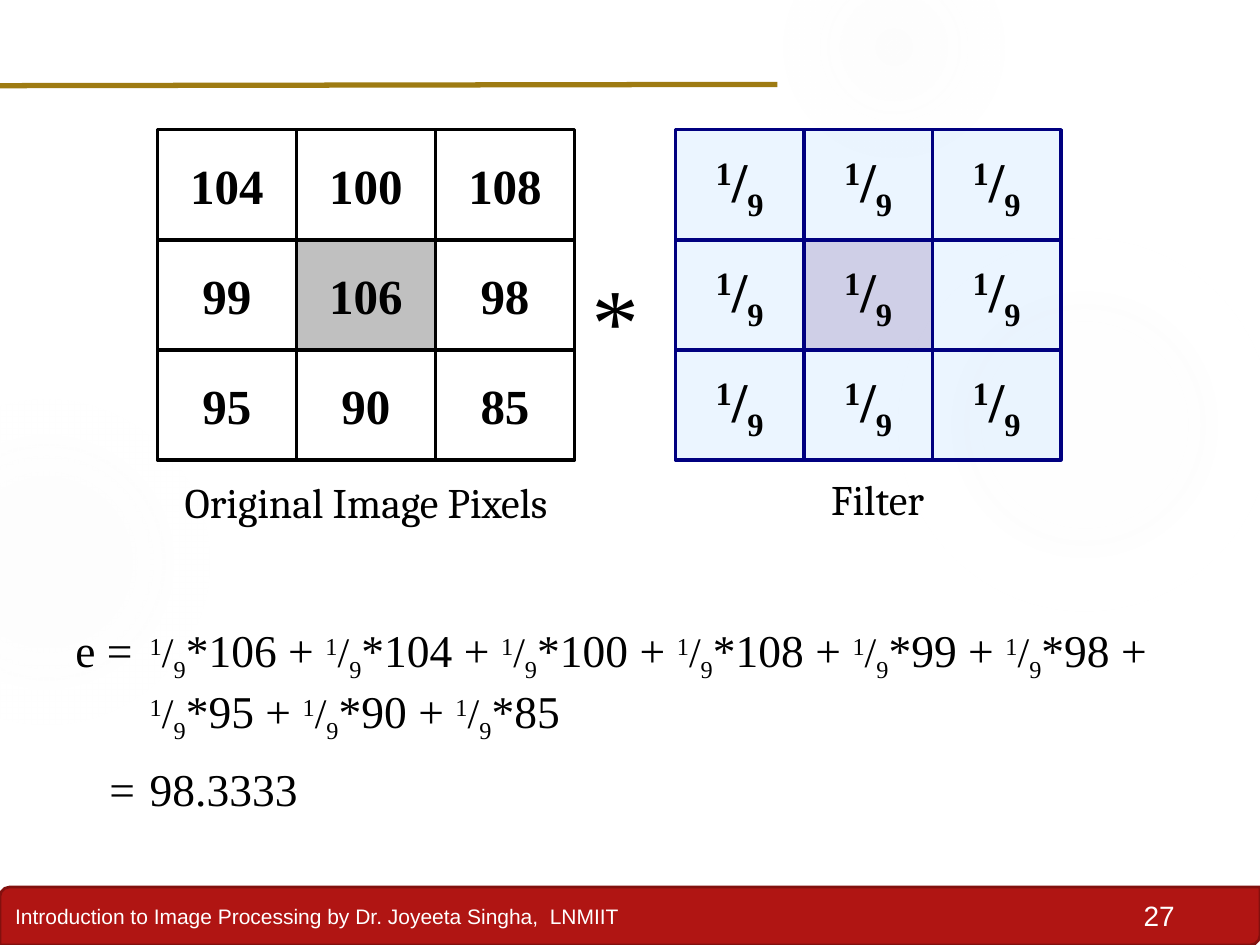
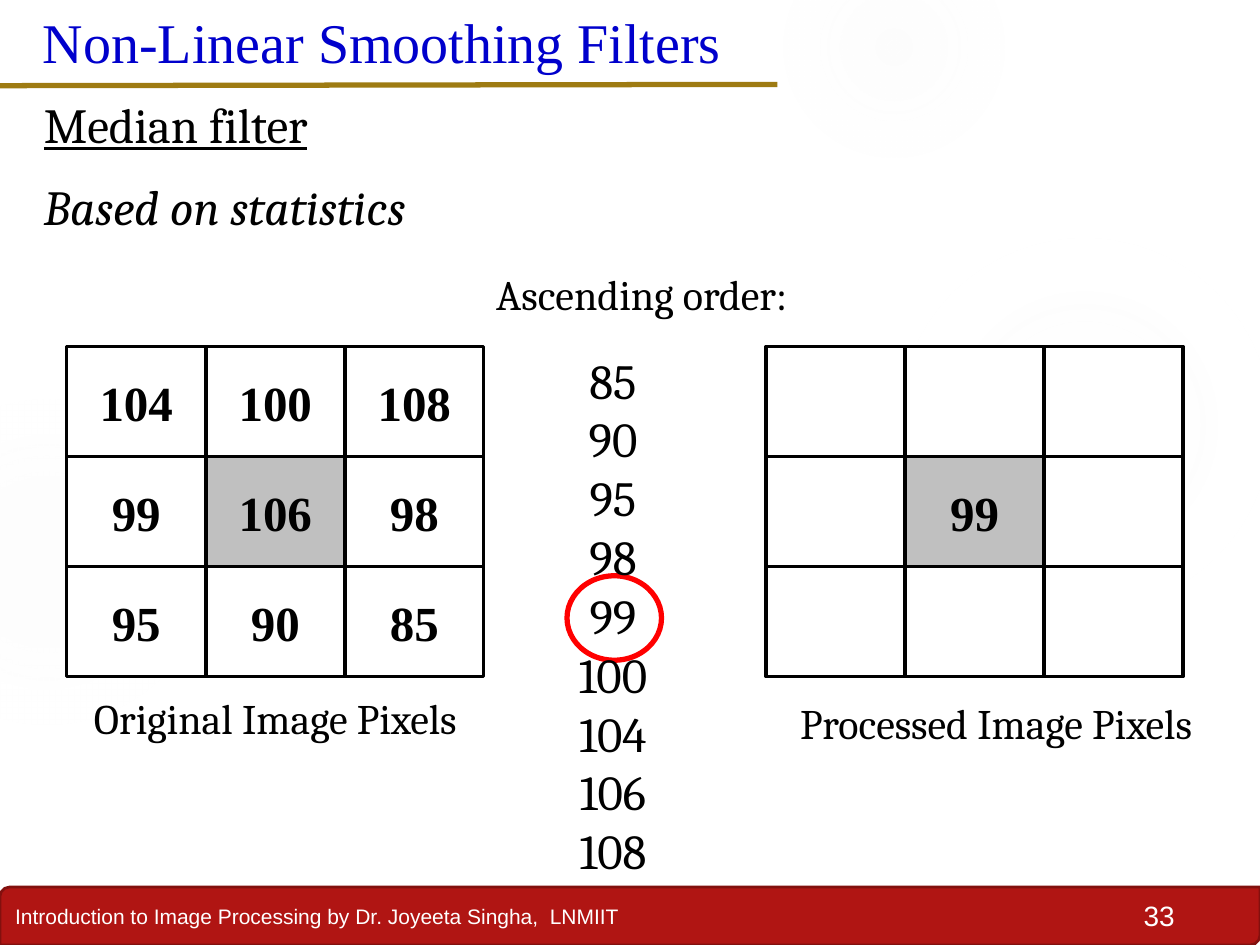
from lxml import etree
from pptx import Presentation
from pptx.dml.color import RGBColor
from pptx.enum.shapes import MSO_CONNECTOR, MSO_SHAPE
from pptx.enum.text import MSO_ANCHOR, PP_ALIGN
from pptx.oxml.ns import qn
from pptx.util import Inches, Pt

LEFT, MID, RIGHT = PP_ALIGN.LEFT, PP_ALIGN.CENTER, PP_ALIGN.RIGHT
TOP, CENTER = MSO_ANCHOR.TOP, MSO_ANCHOR.MIDDLE
RECT, OVAL = MSO_SHAPE.RECTANGLE, MSO_SHAPE.OVAL
BAND = MSO_SHAPE.ROUND_2_DIAG_RECTANGLE
STRAIGHT = MSO_CONNECTOR.STRAIGHT

COLORS = {
    "white": "FFFFFF", "black": "000000", "gray": "C0C0C0", "glow": "F3F3F3",
    "band": "B01513", "edge": "82100E", "gold": "9E7B12", "title": "0000CC",
    "sky": "99CCFF", "navy": "000080", "red": "FF0000",
}
SANS, SERIF, ROMAN = "Arial", "Cambria", "Times New Roman"
FOOTER = "Introduction to Image Processing by Dr. Joyeeta Singha,  LNMIIT"
PIXELS = [104, 100, 108, 99, 106, 98, 95, 90, 85]
TERMS = [106, 104, 100, 108, 99, 98, 95, 90, 85]
GLOWS = [
    ((7.07, 1.83, 3.08, 3.08), ((0, 7), (36, 6), (69, 0))),
    ((6.22, -0.5, 1.75, 1.75), ((0, 14), (36, 7), (73, 0))),
    ((-0.92, 3.17, 2.58, 2.58), ((0, 8), (36, 8), (72, 0))),
]


def color(name):
    return RGBColor.from_string(COLORS[name])


def inches(box):
    return [Inches(n) for n in box]


def style(run, size, face, hue="black", bold=False, slant=False, under=False):
    font = run.font
    font.size, font.name = Pt(size), face
    font.bold, font.italic, font.underline = bold, slant, under
    font.color.rgb = color(hue)


def write(shape, text, size, face, align=LEFT, anchor=TOP, wrap=True, **looks):
    frame = shape.text_frame
    frame.text = text
    frame.word_wrap, frame.vertical_anchor = wrap, anchor
    for para in frame.paragraphs:
        para.alignment = align
        for run in para.runs:
            style(run, size, face, **looks)


def label(slide, box, text, size, face, **looks):
    write(slide.shapes.add_textbox(*inches(box)), text, size, face, **looks)


def draw(shapes, kind, box, fill, line=None, width=2.0, alpha=None):
    shape = shapes.add_shape(kind, *inches(box))
    shape.shadow.inherit = False
    if fill:
        shape.fill.solid()
        shape.fill.fore_color.rgb = color(fill)
    else:
        shape.fill.background()
    if line:
        shape.line.color.rgb = color(line)
        shape.line.width = Pt(width)
    else:
        shape.line.fill.background()
    if alpha:
        paint = shape._element.spPr.find(qn("a:solidFill"))
        etree.SubElement(paint[0], qn("a:alpha"), val=str(alpha * 1000))
    return shape


def add_glow(slide, box, stops):
    shape = draw(slide.shapes, OVAL, box, "glow")
    solid = shape._element.spPr.find(qn("a:solidFill"))
    grad = etree.Element(qn("a:gradFill"))
    steps = etree.SubElement(grad, qn("a:gsLst"))
    for pos, alpha in stops:
        stop = etree.SubElement(steps, qn("a:gs"), pos=str(pos * 1000))
        tint = etree.SubElement(stop, qn("a:srgbClr"), val=COLORS["glow"])
        etree.SubElement(tint, qn("a:alpha"), val=str(alpha * 1000))
    path = etree.SubElement(grad, qn("a:path"), path="circle")
    etree.SubElement(path, qn("a:fillToRect"), dict.fromkeys("ltrb", "50000"))
    solid.getparent().replace(solid, grad)


def add_frame(slide, number):
    band = draw(slide.shapes, BAND, (0, 7.04, 10, 0.46), "band", "edge", 1.5)
    write(band, FOOTER, 12, SANS, anchor=CENTER, hue="white")
    for box, stops in GLOWS:
        add_glow(slide, box, stops)
    label(slide, (8.67, 7.08, 0.75, 0.37), str(number), 16, SANS,
          align=RIGHT, hue="white")
    rule = slide.shapes.add_connector(
        STRAIGHT, *inches((-0.02, 0.68, 6.17, 0.67)))
    rule.line.color.rgb = color("gold")
    rule.line.width = Pt(3)
    etree.SubElement(rule._element.spPr, qn("a:effectLst"))


def add_ninth(para, size, bold=False):
    for text, base in (("1", 30), ("/", 0), ("9", -25)):
        run = para.add_run()
        run.text = text
        style(run, size, ROMAN, bold=bold)
        run._r.get_or_add_rPr().set("baseline", str(base * 1000))


def add_grid(slide, box, fill, core, line, alpha=None):
    left, top, width, height = box
    wide, high = width / 3, height / 3
    group = slide.shapes.add_group_shape()
    cells = []
    for i in range(9):
        row, col = divmod(i, 3)
        spot = (left + col * wide, top + row * high, wide, high)
        cells.append(draw(group.shapes, RECT, spot, core if i == 4 else fill,
                          line, alpha=alpha))
    return cells


def add_pixels(slide, left, top, values):
    cells = add_grid(slide, (left, top, 3.31, 2.62), "white", "gray", "black")
    for cell, value in zip(cells, values):
        if value:
            write(cell, str(value), 28, ROMAN, align=MID, anchor=CENTER,
                  wrap=False, bold=True)


def add_mask(slide, left, top):
    box = (left, top, 3.06, 2.62)
    for cell in add_grid(slide, box, "sky", "navy", "navy", 19):
        frame = cell.text_frame
        frame.word_wrap, frame.vertical_anchor = False, CENTER
        para = frame.paragraphs[0]
        para.alignment = MID
        add_ninth(para, 32, True)


def add_sum(slide, box):
    frame = slide.shapes.add_textbox(*inches(box)).text_frame
    frame.word_wrap = True
    total, answer = frame.paragraphs[0], frame.add_paragraph()
    for para, hang in ((total, 0.59), (answer, 0.32)):
        props = para._p.get_or_add_pPr()
        props.set("marL", str(Inches(0.59)))
        props.set("indent", str(-Inches(hang)))
    total.text = "e =\t"
    style(total.runs[0], 26, ROMAN)
    for i, term in enumerate(TERMS):
        add_ninth(total, 24)
        run = total.add_run()
        run.text = f"*{term}" + (" + " if i < len(TERMS) - 1 else "")
        style(run, 26, ROMAN)
        if i == 5:
            total.add_line_break()
    answer.text = "=\t98.3333"
    answer.space_before = Pt(10)
    style(answer.runs[0], 26, ROMAN)


def add_order(slide, left, top):
    label(slide, (left - 0.44, top - 0.65, 3.67, 0.5), "Ascending order:",
          24, SERIF)
    draw(slide.shapes, OVAL, (left + 0.22, top + 1.84, 0.75, 0.67), None,
         "red", 3)
    label(slide, (left, top, 1.17, 4.34),
          "\n".join(str(n) for n in sorted(PIXELS)), 28, SERIF, align=MID)


def build_mean(deck):
    slide = deck.slides.add_slide(deck.slide_layouts[6])
    add_frame(slide, 27)
    add_mask(slide, 5.36, 1.03)
    add_sum(slide, (0.5, 4.89, 9.27, 1.57))
    label(slide, (5.97, 3.71, 1.99, 0.5), "Filter", 24, SERIF, align=MID)
    add_pixels(slide, 1.25, 1.03, PIXELS)
    label(slide, (0.81, 3.73, 4.19, 0.5), "Original Image Pixels", 24, SERIF,
          align=MID)
    label(slide, (4.56, 2.02, 0.58, 1), "*", 54, ROMAN, align=MID, wrap=False,
          slant=True)


def build_median(deck):
    slide = deck.slides.add_slide(deck.slide_layouts[5])
    add_frame(slide, 33)
    title = slide.shapes.title
    title.left, title.top, title.width, title.height = inches(
        (0.24, -0.01, 9.28, 0.67))
    write(title, "Non-Linear Smoothing Filters", 32, ROMAN, anchor=CENTER,
          hue="title")
    label(slide, (0.25, 0.7, 6.08, 0.57), "Median filter", 28, SERIF,
          under=True)
    label(slide, (0.25, 1.35, 3.98, 0.57), "Based on statistics", 28, SERIF,
          slant=True)
    add_pixels(slide, 0.53, 2.75, PIXELS)
    label(slide, (0.09, 5.45, 4.19, 0.5), "Original Image Pixels", 24, SERIF,
          align=MID)
    add_order(slide, 4.28, 2.73)
    add_pixels(slide, 6.08, 2.75, [None] * 4 + [99] + [None] * 4)
    label(slide, (5.81, 5.49, 4.19, 0.5), "Processed Image Pixels", 24, SERIF,
          align=MID)


def main():
    deck = Presentation()
    deck.slide_width, deck.slide_height = Inches(10), Inches(7.5)
    build_mean(deck)
    build_median(deck)
    deck.save("out.pptx")


if __name__ == "__main__":
    main()
